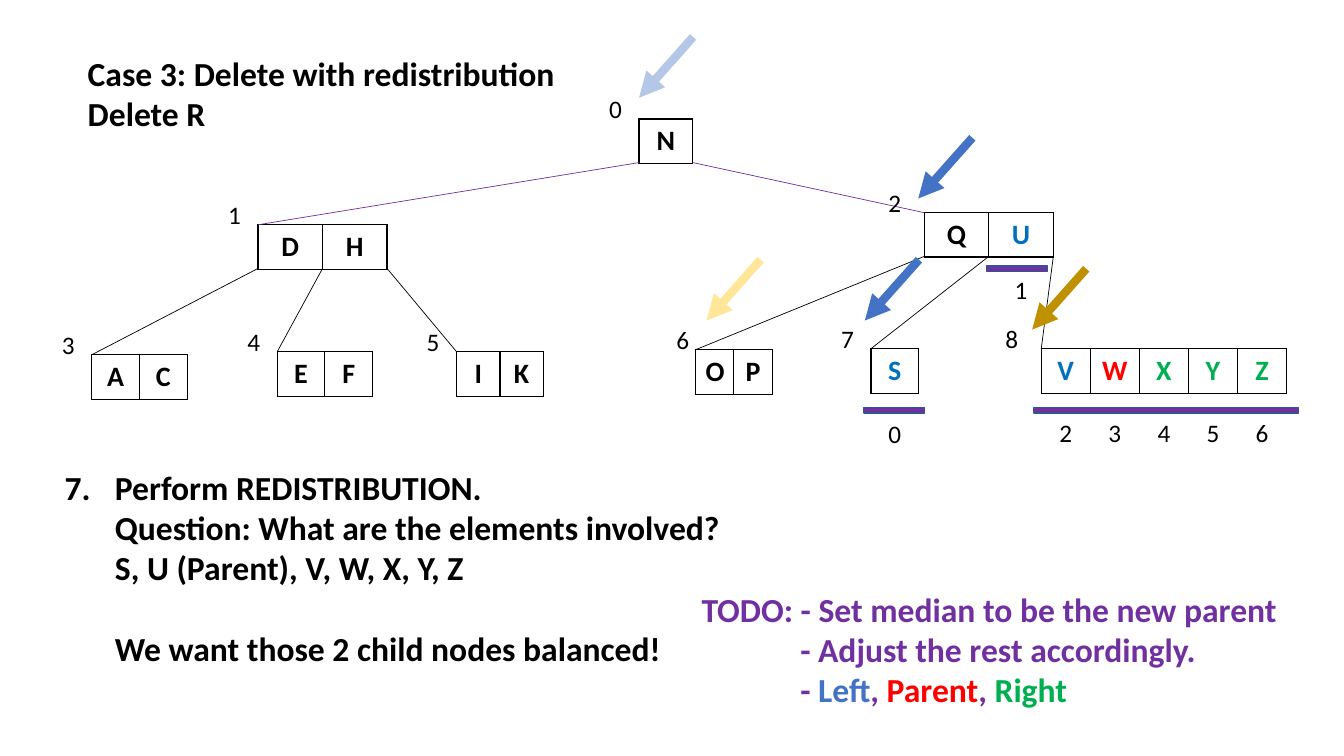
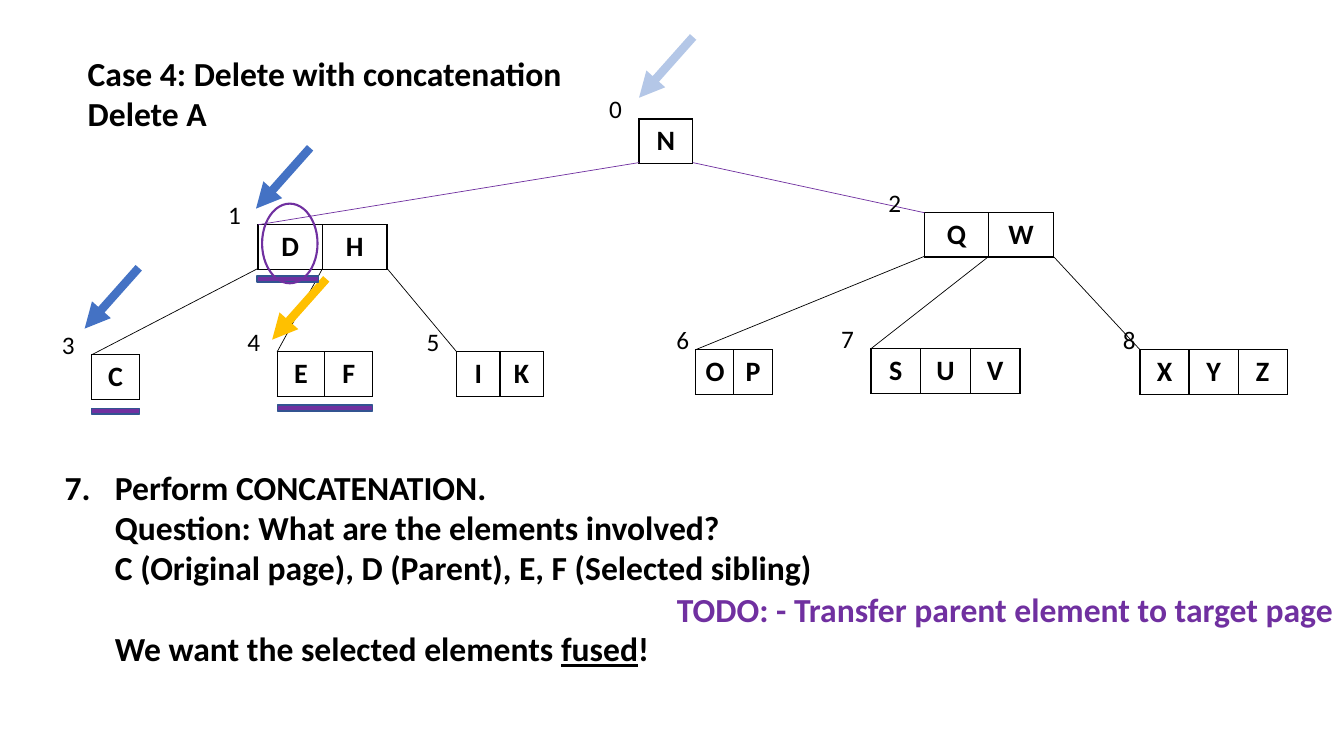
from dataclasses import dataclass

from lxml.etree import SubElement
from pptx import Presentation
from pptx.dml.color import RGBColor
from pptx.enum.shapes import MSO_CONNECTOR as Connector, MSO_SHAPE as Preset
from pptx.enum.text import PP_ALIGN as Align
from pptx.oxml.ns import qn
from pptx.util import Inches, Pt


@dataclass(frozen=True)
class Theme:
    font: str = "Calibri"
    text_size: int = 24
    key_size: int = 20
    label_size: int = 18
    black: str = "000000"
    white: str = "FFFFFF"
    purple: str = "7030A0"
    bar_edge: str = "325491"
    blue: str = "4472C4"
    pale_blue: str = "B4C7E7"
    key_blue: str = "0070C0"
    red: str = "FF0000"
    green: str = "00B050"
    pale_gold: str = "FFE699"
    gold: str = "FFC000"
    dark_gold: str = "BF9000"


THEME = Theme()
COLUMNS, ROWS = 40, 22.5
CELL = Inches(1) // 3
NODE_HEIGHT = 1.3
BAR_HEIGHT = 0.17
LABEL_WIDTH, LABEL_RISE = 1, 0.76
ARROW_RUN, ARROW_RISE = 1.61, 1.81
BODY_INDENT = 1.5
TODO_INDENT = 2.94
TITLE_AT, BODY_AT, TODO_TOP = (2.61, 1.56), (1.92, 13.89), 17.52


def grid(*lengths):
    return [round(length * CELL) for length in lengths]


def rgb(colour):
    return RGBColor.from_string(colour)


SHARED_NODES = {
    0: ("N", 19.02, 3.54, 1.6, 0.7),
    1: ("DH", 7.68, 6.69, 1.92, 0.7),
    4: ("EF", 8.25, 10.47, 1.42, 0.7),
    5: ("IK", 13.59, 10.47, 1.29, 0.7),
    6: ("OP", 20.7, 10.41, 1.14, 0.38),
}
CHILDREN = {0: (1, 2), 1: (3, 4, 5), 2: (6, 7, 8)}
ROOT_ARROW = (19.02, 2.91, THEME.pale_blue)

CASES = [
    {
        "title": ["Case 3: Delete with redistribution", "Delete R"],
        "nodes": {
            2: ("QU", 27.51, 6.33, 1.92, 0.88),
            3: ("AC", 2.73, 10.56, 1.42, 0.7),
            7: ("S", 25.92, 10.38, 1.42, 0.7),
            8: ("VWXYZ", 30.99, 10.38, 1.46, 0.88),
        },
        "key_colours": {
            "U": THEME.key_blue, "S": THEME.key_blue, "V": THEME.key_blue,
            "W": THEME.red,
            "X": THEME.green, "Y": THEME.green, "Z": THEME.green,
        },
        "captions": [(7, 0, "0", 12.45), (2, 1, "1", 8.16), (8, 0, "23456", 12.42)],
        "arrows": [
            (27.33, 5.91, THEME.blue),
            (21.03, 9.54, THEME.pale_gold),
            (30.72, 9.81, THEME.dark_gold),
            (25.74, 9.54, THEME.blue),
        ],
        "bars": [(25.71, 12.12, 1.8), (29.37, 7.92, 1.8), (30.78, 12.12, 7.86)],
        "rings": [],
        "body": [
            "Perform REDISTRIBUTION.",
            "Question: What are the elements involved?",
            "S, U (Parent), V, W, X, Y, Z",
            "We want those 2 child nodes balanced!",
        ],
        "todo_left": 20.88,
        "todo": [
            "TODO: - Set median to be the new parent",
            "- Adjust the rest accordingly.",
            [("- ", THEME.purple), ("Left", THEME.blue), (", ", THEME.purple),
             ("Parent", THEME.red), (", ", THEME.purple), ("Right", THEME.green)],
        ],
    },
    {
        "title": ["Case 4: Delete with concatenation", "Delete A"],
        "nodes": {
            2: ("QW", 27.51, 6.33, 1.92, 0.88),
            3: ("C", 2.73, 10.56, 1.42, 0.7),
            7: ("SUV", 25.92, 10.38, 1.48, 0.7),
            8: ("XYZ", 33.93, 10.41, 1.46, 0.32),
        },
        "key_colours": {},
        "captions": [],
        "arrows": [
            (7.62, 6.21, THEME.blue),
            (2.52, 9.78, THEME.blue),
            (8.1, 10.11, THEME.gold),
        ],
        "bars": [(2.73, 12.15, 1.42), (8.25, 12.06, 2.84), (7.65, 8.22, 1.83)],
        "rings": [(7.8, 6.06, 1.65, 2.37)],
        "body": [
            "Perform CONCATENATION.",
            "Question: What are the elements involved?",
            "C (Original page), D (Parent), E, F (Selected sibling)",
            [("We want the selected elements ", THEME.black),
             ("fused", THEME.black, True), ("!", THEME.black)],
        ],
        "todo_left": 20.15,
        "todo": ["TODO: - Transfer parent element to target page"],
    },
]

presentation = Presentation()
presentation.slide_width, presentation.slide_height = grid(COLUMNS, ROWS)

for case in CASES:
    slide = presentation.slides.add_slide(presentation.slide_layouts[6])
    shapes = slide.shapes
    nodes = {**SHARED_NODES, **case["nodes"]}
    paragraphs = []
    labels = []
    lines = []

    for number, (keys, left, top, key_width, label_gap) in nodes.items():
        frame = shapes.add_table(
            1, len(keys), *grid(left, top, key_width * len(keys), NODE_HEIGHT))
        table = frame.table
        table.first_row = table.horz_banding = False
        table.rows[0].height = grid(NODE_HEIGHT)[0]
        for position, key in enumerate(keys):
            table.columns[position].width = grid(key_width)[0]
            cell = table.cell(0, position)
            properties = cell._tc.get_or_add_tcPr()
            for side in ("a:lnL", "a:lnR", "a:lnT", "a:lnB"):
                border = SubElement(properties, qn(side), w=str(Pt(1)))
                paint = SubElement(border, qn("a:solidFill"))
                SubElement(paint, qn("a:srgbClr"), val=THEME.black)
            cell.fill.solid()
            cell.fill.fore_color.rgb = rgb(THEME.white)
            paragraphs.append((
                cell.text_frame.paragraphs[0], key, THEME.key_size, True,
                case["key_colours"].get(key, THEME.black), Align.CENTER))
        labels.append((str(number), left - label_gap, top - LABEL_RISE))
        for position, child in enumerate(CHILDREN.get(number, ())):
            start = (left + position * key_width, top + NODE_HEIGHT)
            colour = THEME.black if number else THEME.purple
            lines.append((start, nodes[child][1:3], colour, 0.5))

    for number, first, digits, top in case["captions"]:
        left, key_width = nodes[number][1], nodes[number][3]
        for position, digit in enumerate(digits, first):
            labels.append((digit, left + (position + 0.5) * key_width, top))

    for left, top, colour in [ROOT_ARROW, *case["arrows"]]:
        start = (left + ARROW_RUN, top - ARROW_RISE)
        lines.append((start, (left, top), colour, 6))

    for start, end, colour, weight in lines:
        connector = shapes.add_connector(Connector.STRAIGHT, *grid(*start, *end))
        connector.line.color.rgb = rgb(colour)
        connector.line.width = Pt(weight)
        if weight > 1:
            SubElement(connector.line._get_or_add_ln(), qn("a:tailEnd"), type="triangle")
        SubElement(connector._element.spPr, qn("a:effectLst"))

    marks = [(Preset.RECTANGLE, (*bar, BAR_HEIGHT), THEME.bar_edge, 1) for bar in case["bars"]]
    marks += [(Preset.OVAL, ring, THEME.purple, 1.5) for ring in case["rings"]]
    for preset, box, edge, weight in marks:
        mark = shapes.add_shape(preset, *grid(*box))
        mark.shadow.inherit = False
        mark.line.color.rgb = rgb(edge)
        mark.line.width = Pt(weight)
        if preset == Preset.OVAL:
            mark.fill.background()
        else:
            mark.fill.solid()
            mark.fill.fore_color.rgb = rgb(THEME.purple)

    blocks = [
        (*TITLE_AT, 16, case["title"], THEME.text_size, THEME.black, Align.LEFT, 0),
        (*BODY_AT, 26, case["body"], THEME.text_size, THEME.black, Align.LEFT, BODY_INDENT),
        (case["todo_left"], TODO_TOP, COLUMNS - case["todo_left"], case["todo"],
         THEME.text_size, THEME.purple, Align.LEFT, TODO_INDENT),
    ]
    blocks += [
        (centre - LABEL_WIDTH / 2, top, LABEL_WIDTH, [text],
         THEME.label_size, THEME.black, Align.CENTER, 0)
        for text, centre, top in labels
    ]
    for left, top, width, texts, size, colour, align, indent in blocks:
        frame = shapes.add_textbox(*grid(left, top, width, len(texts))).text_frame
        frame.word_wrap = True
        frame.margin_left = frame.margin_right = frame.margin_top = frame.margin_bottom = 0
        for index, text in enumerate(texts):
            paragraph = frame.add_paragraph() if index else frame.paragraphs[0]
            properties = paragraph._p.get_or_add_pPr()
            if indent and (index or texts is case["body"]):
                properties.set("marL", str(grid(indent)[0]))
            if texts is case["body"] and index == 0:
                properties.set("indent", str(-grid(indent)[0]))
                SubElement(properties, qn("a:buAutoNum"), type="arabicPeriod", startAt="7")
            if texts is case["body"] and index == len(texts) - 1:
                paragraph.space_before = Pt(29)
            bold = size == THEME.text_size
            paragraphs.append((paragraph, text, size, bold, colour, align))

    for paragraph, text, size, bold, colour, align in paragraphs:
        paragraph.alignment = align
        paragraph.font.name = THEME.font
        paragraph.font.size = Pt(size)
        paragraph.font.bold = bold
        paragraph.font.color.rgb = rgb(colour)
        if isinstance(text, str):
            paragraph.add_run().text = text
            continue
        for words, run_colour, *underline in text:
            run = paragraph.add_run()
            run.text = words
            run.font.color.rgb = rgb(run_colour)
            if underline:
                run.font.underline = True

presentation.save("out.pptx")
